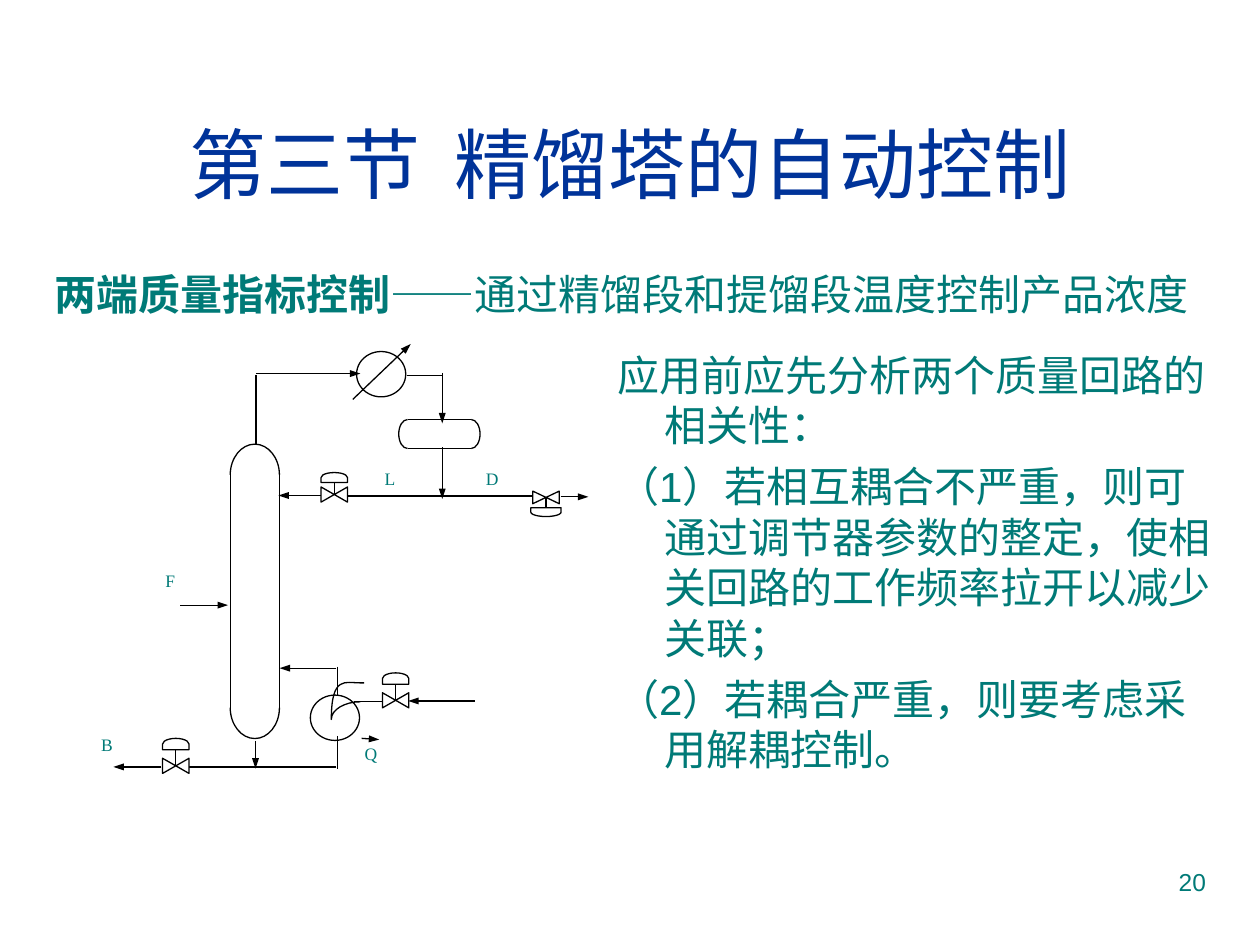
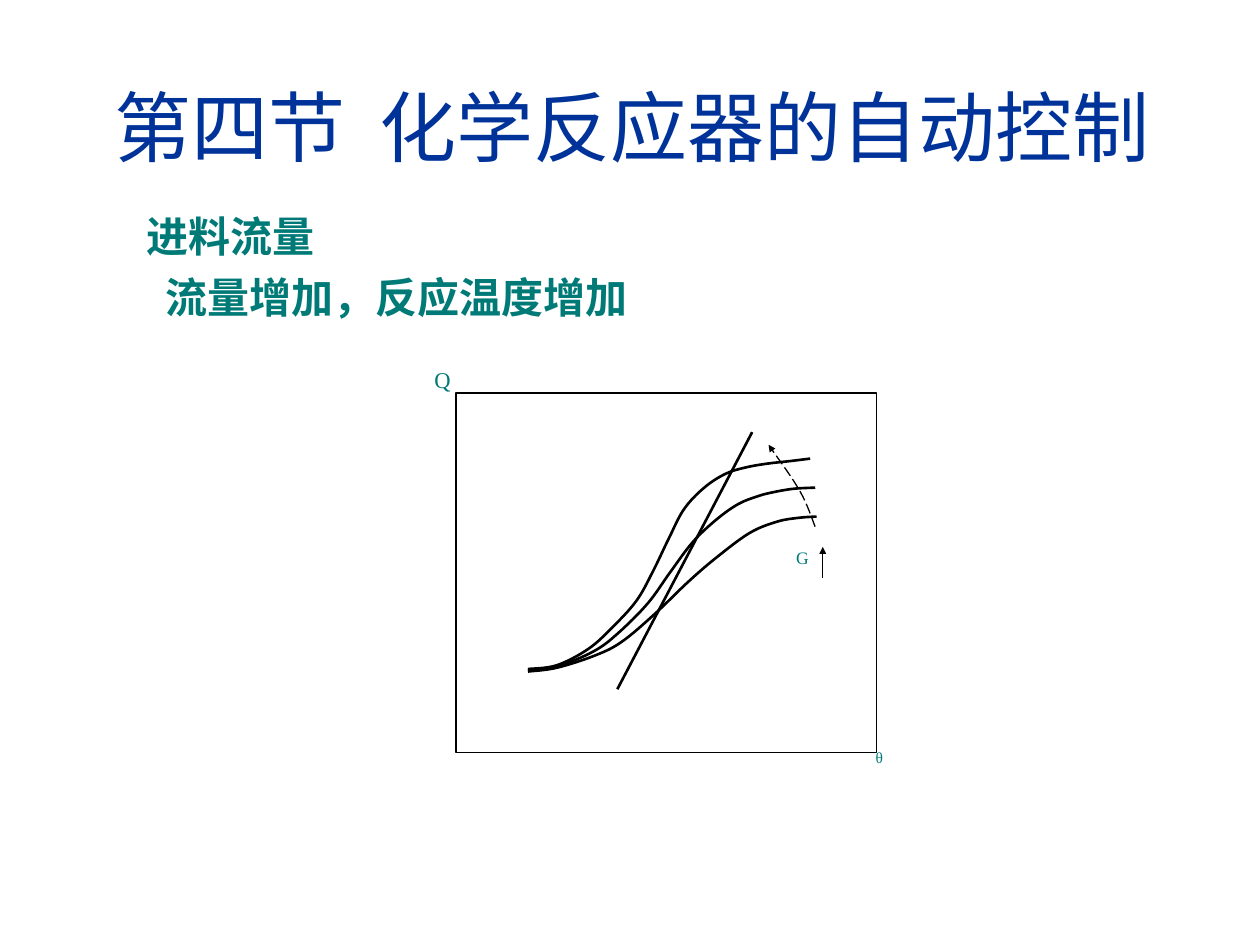
from lxml import etree
from pptx import Presentation
from pptx.dml.color import RGBColor
from pptx.enum.dml import MSO_LINE
from pptx.enum.shapes import MSO_CONNECTOR, MSO_SHAPE
from pptx.enum.text import MSO_ANCHOR, MSO_AUTO_SIZE, PP_ALIGN
from pptx.oxml.ns import qn
from pptx.util import Inches, Pt

COLS, ROWS = 100, 75  # the slide is a grid of square cells
CELL = Inches(0.1)
TITLE_ONLY = 5

BLACK, WHITE, TEAL, NAVY = "000000", "FFFFFF", "007A77", "003399"
SANS, SERIF, CJK = "Arial", "Times New Roman", "Noto Sans CJK SC"

RIGHT, CENTER, JUSTIFY = PP_ALIGN.RIGHT, PP_ALIGN.CENTER, PP_ALIGN.JUSTIFY
MIDDLE, NO_FIT = MSO_ANCHOR.MIDDLE, MSO_AUTO_SIZE.NONE
STRAIGHT, LONG_DASH = MSO_CONNECTOR.STRAIGHT, MSO_LINE.LONG_DASH
RECT, ELLIPSE = MSO_SHAPE.RECTANGLE, MSO_SHAPE.OVAL
VALVE_BODY, VALVE_TOP = MSO_SHAPE.FLOWCHART_COLLATE, MSO_SHAPE.FLOWCHART_DELAY


def cells(*lengths):
    return [round(n * CELL) for n in lengths]


def rgb(color):
    return RGBColor.from_string(color)


def add_run(p, text, size, color=TEAL, font=SANS, bold=False, spacing=0):
    r = p.add_run()
    r.text = text
    r.font.size, r.font.bold, r.font.name = Pt(size), bold, font
    r.font.color.rgb = rgb(color)
    rPr = r.font._element
    etree.SubElement(rPr, qn("a:ea")).set("typeface", CJK)
    if spacing:
        rPr.set("spc", str(spacing))


def add_title(s, box, section, topic):
    sp = s.shapes.title
    sp.left, sp.top, sp.width, sp.height = cells(*box)
    tf = sp.text_frame
    tf.auto_size, tf.vertical_anchor = NO_FIT, MIDDLE
    p = tf.paragraphs[0]
    p.alignment = CENTER
    add_run(p, section, 44, NAVY)
    add_run(p, " ", 44, NAVY, spacing=980)
    add_run(p, topic, 44, NAVY)


def add_box(s, box):
    tf = s.shapes.add_textbox(*cells(*box)).text_frame
    tf.word_wrap = True
    return tf


def add_label(s, box, text, size=10, font=SERIF, align=JUSTIFY, leading=1,
              tab=None):
    p = add_box(s, box).paragraphs[0]
    p.alignment, p.line_spacing = align, leading
    if tab:
        tabs = etree.SubElement(p._p.get_or_add_pPr(), qn("a:tabLst"))
        etree.SubElement(tabs, qn("a:tab"), pos=str(cells(tab)[0]), algn="l")
    add_run(p, text, size, font=font)


def add_body(s, box, paragraphs, margins, hanging=0):
    """Each paragraph is a list of (text, font, bold) runs."""
    tf = add_box(s, box)
    for i, (runs, margin) in enumerate(zip(paragraphs, margins)):
        p = tf.paragraphs[0] if i == 0 else tf.add_paragraph()
        p.line_spacing = Pt(28.8)
        if i:
            p.space_before = Pt(6)
        pPr = p._p.get_or_add_pPr()
        pPr.set("marL", str(cells(margin)[0]))
        pPr.set("indent", str(-cells(hanging)[0]))
        for text, font, bold in runs:
            add_run(p, text, 24, font=font, bold=bold)


def add_arrowhead(sp, length="med"):
    ln = sp._element.spPr.find(qn("a:ln"))
    etree.SubElement(ln, qn("a:tailEnd"), type="triangle", w="sm", len=length)


def add_line(s, x1, y1, x2, y2, head=None):
    c = s.shapes.add_connector(STRAIGHT, *cells(x1, y1, x2, y2))
    c.line.color.rgb, c.line.width = rgb(BLACK), Pt(0.75)
    etree.SubElement(c._element.spPr, qn("a:effectLst"))
    if head:
        add_arrowhead(c, head)


def outline(sp, width=0.75, fill=None):
    sp.shadow.inherit = False
    sp.line.color.rgb, sp.line.width = rgb(BLACK), Pt(width)
    if fill:
        sp.fill.solid()
        sp.fill.fore_color.rgb = rgb(fill)
    else:
        sp.fill.background()


def add_preset(s, kind, box, fill=WHITE, rotation=0):
    sp = s.shapes.add_shape(kind, *cells(*box))
    sp.rotation = rotation
    outline(sp, fill=fill)


def add_path(s, points, width=0.75):
    start, *rest = [cells(x, y) for x, y in points]
    builder = s.shapes.build_freeform(*start)
    builder.add_line_segments(rest, close=False)
    sp = builder.convert_to_shape()
    outline(sp, width)
    return sp


def add_curve(s, points, width=0.75):
    """Cubic curves: a start, then two controls and an end for each piece."""
    sp = add_path(s, points, width)
    steps = list(sp._element.iter(qn("a:lnTo")))
    for first, second, end in zip(steps[::3], steps[1::3], steps[2::3]):
        first.addprevious(curve := etree.Element(qn("a:cubicBezTo")))
        for step in (first, second, end):
            curve.append(step[0])
            step.getparent().remove(step)
    return sp


def smooth(knots):
    """Cubic curve points that pass through the knots."""
    padded = [knots[0], *knots, knots[-1]]
    points = [knots[0]]
    for a, b, c, d in zip(padded, padded[1:], padded[2:], padded[3:]):
        points += [(b[0] + (c[0] - a[0]) / 6, b[1] + (c[1] - a[1]) / 6),
                   (c[0] - (d[0] - b[0]) / 6, c[1] - (d[1] - b[1]) / 6), c]
    return points


def add_vessel(s, left, top, right, bottom, rx, ry, upright):
    """Two straight walls joined by four quarter ellipses."""
    if upright:
        for x in (left, right):
            add_line(s, x, top + ry, x, bottom - ry)
    else:
        for y in (top, bottom):
            add_line(s, left + rx, y, right - rx, y)
    for x, dx in ((left, rx), (right, -rx)):
        for y, dy in ((top, ry), (bottom, -ry)):
            add_curve(s, [(x, y + dy), (x, y + 0.45 * dy),
                          (x + 0.45 * dx, y), (x + dx, y)])


def add_valve(s, cx, cy, top_y, body=1.2, top_w=2.1, top_h=0.9):
    """A valve whose actuator is centred at top_y, above or below it."""
    for kind, y, w, h, turn in (
            (VALVE_BODY, cy, 2.1, body, 90),
            (VALVE_TOP, top_y, top_w, top_h, 270 if top_y < cy else 90)):
        add_preset(s, kind, (cx - h / 2, y - w / 2, h, w), rotation=turn)
    side = 1 if top_y > cy else -1
    add_line(s, cx, cy, cx, top_y - side * top_h / 2)


def draw_column_process(s):
    add_vessel(s, 31.65, 33.3, 38.1, 35.6, 0.7, 1.15, upright=False)  # drum
    add_preset(s, ELLIPSE, (28.3, 27.9, 3.9, 3.6))  # condenser
    add_vessel(s, 18.27, 35.25, 22.18, 58.62, 1.95, 2.45, upright=True)
    add_preset(s, ELLIPSE, (24.63, 55.17, 3.9, 3.6))  # reboiler
    add_curve(s, [(28.6, 55.7), (27.4, 55.7), (26.3, 56.3), (26.3, 57.1),
                  (26.3, 53.6), (27.4, 54.2), (28.6, 54.2),
                  (28.7, 54.2), (28.8, 54.2), (28.9, 54.2)])

    pipes = [(26.7, 60.87, 14.9, 60.87), (26.77, 58.4, 26.77, 61),
             (26.77, 52.9, 26.77, 55.2), (30.4, 55.67, 28.1, 55.67),
             (20.33, 29.8, 20.33, 35.3), (32.3, 29.83, 35.1, 29.83),
             (27.6, 39.37, 42.4, 39.37)]
    flows = [(20.28, 58.8, 20.28, 61), (14.3, 48.03, 18.1, 48.03),
             (26.7, 53.03, 22.2, 53.03), (12.8, 60.87, 9, 60.87),
             (28.7, 58.6, 30.1, 58.7), (20.3, 29.65, 28.6, 29.65),
             (28, 31.7, 32.6, 27.3), (35.1, 29.6, 35.1, 33.6),
             (35.1, 35.5, 35.1, 39.6), (25.5, 39.33, 22.1, 39.33),
             (44.5, 39.43, 46.7, 39.43), (37.7, 55.63, 32.4, 55.63)]
    for pipe in pipes:
        add_line(s, *pipe)
    for flow in flows:
        add_line(s, *flow, head="med")

    add_valve(s, 13.95, 60.78, 59.05)
    add_valve(s, 31.4, 55.58, 53.85)
    add_valve(s, 26.53, 39.25, 37.9, top_h=0.8)
    add_valve(s, 43.33, 39.48, 40.65, body=1, top_w=2.4, top_h=0.7)

    add_label(s, (27.95, 58.5, 6.6, 5), "Q")
    add_label(s, (12.14, 44.75, 4.6, 5.4), "F")
    add_label(s, (29.54, 36.65, 26.6, 5.4), "L\tD", tab=8.05)
    add_label(s, (7.04, 57.75, 5, 4.9), "B")


def draw_heat_curves(s):
    add_preset(s, RECT, (36.2, 31.2, 33.38, 28.5), fill=None)
    add_path(s, [(49, 54.7), (59.7, 34.3)], width=1.5)  # heat removed

    shift = add_curve(s, smooth([(64.7, 41.8), (63.5, 39), (61, 35.3)]))
    shift.line.dash_style = LONG_DASH
    add_arrowhead(shift, "sm")
    add_line(s, 65.3, 45.9, 65.3, 43.4, head="sm")
    add_label(s, (68.5, 59.2, 2.9, 2.6), "θ", 8.8, leading=0.8)
    add_label(s, (62.2, 42.9, 3.7, 3.2), "G")
    add_label(s, (33.5, 28.8, 3.7, 3.2), "Q", 12.9, leading=0.9)

    heat_released = [
        [(41.9, 53.3), (44.2, 53), (47.3, 52), (49.4, 50.9), (52, 48.7),
         (54.6, 46.2), (56.8, 44.3), (59.5, 42.3), (61.7, 41.4),
         (63.4, 41.1), (64.8, 41)],
        [(41.9, 53.2), (44.2, 52.9), (47.1, 51.7), (49, 50.3), (51.4, 47.9),
         (53.2, 45.4), (55, 43), (56.9, 41.2), (58.6, 40), (60.1, 39.4),
         (61.2, 39.1), (62.9, 38.8), (64.7, 38.7)],
        [(41.9, 53.1), (44.2, 52.8), (46.7, 51.5), (48.6, 49.8),
         (50.5, 47.7), (51.8, 45.4), (53.1, 42.7), (54.3, 40.4),
         (55.9, 38.7), (57.6, 37.6), (59.2, 37.1), (60.9, 36.8),
         (62.7, 36.6), (64.3, 36.4)]]
    for knots in heat_released:
        add_curve(s, smooth(knots), width=1.5)


def build_column_slide(s):
    add_title(s, (3.33, 6.67, 93.4, 12.5), "第三节", "精馏塔的自动控制")
    add_body(s, (3.35, 20.8, 93.4, 45.9),
             [[("两端质量指标控制", SERIF, True),
               ("——通过精馏段和提馏段温度控制产品浓度", SANS, False)]],
             [3.75], hanging=3.75)
    draw_column_process(s)
    points = ["应用前应先分析两个质量回路的相关性：",
              "（1）若相互耦合不严重，则可通过调节器参数的整定，"
              "使相关回路的工作频率拉开以减少关联；",
              "（2）若耦合严重，则要考虑采用解耦控制。"]
    add_body(s, (48, 27.25, 50, 37.2),
             [[(text, SANS, False)] for text in points],
             [3.75] * len(points), hanging=3.75)
    add_label(s, (71.7, 68.3, 25, 5.2), "20", 14, SANS, RIGHT)


def build_reactor_slide(s):
    add_title(s, (3.5, 5.2, 93.4, 9.6), "第四节", "化学反应器的自动控制")
    add_body(s, (10.65, 16.2, 43.3, 13.9),
             [[("进料流量", CJK, True)],
              [("流量增加，反应温度增加", SERIF, True)]], [0, 1.5])
    draw_heat_curves(s)


def main():
    prs = Presentation()
    prs.slide_width, prs.slide_height = cells(COLS, ROWS)
    for build in (build_column_slide, build_reactor_slide):
        build(prs.slides.add_slide(prs.slide_layouts[TITLE_ONLY]))
    prs.save("out.pptx")


if __name__ == "__main__":
    main()
